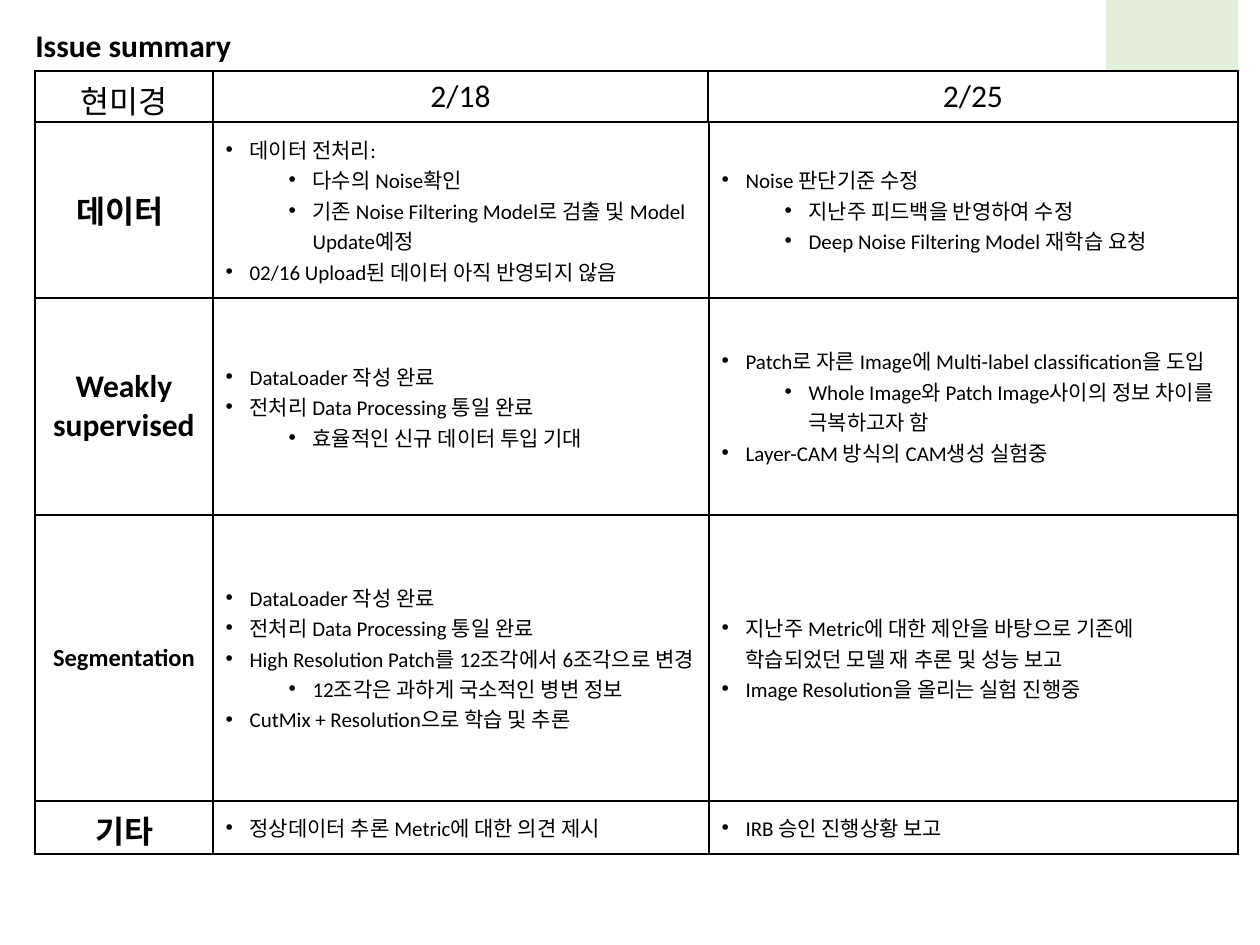
from lxml import etree
from pptx import Presentation, util as u
from pptx.dml.color import RGBColor
from pptx.enum import shapes, text
from pptx.oxml import ns

PX = 914400 // 126
FONT = "Calibri"
BLACK, WHITE, GREEN = "000000", "FFFFFF", "E2F0D9"
INDENT, LEVEL_STEP = 24, 63

HEADINGS = ["현미경", "2/18", "2/25"]
ISSUES = [
    ("데이터 ", 18,
     [(0, "데이터 전처리:"),
      (1, "다수의 Noise확인"),
      (1, "기존 Noise Filtering Model로 검출 및 Model Update예정"),
      (0, "02/16 Upload된 데이터 아직 반영되지 않음")],
     [(0, "Noise 판단기준 수정"),
      (1, "지난주 피드백을 반영하여 수정"),
      (1, "Deep Noise Filtering Model 재학습 요청")]),
    ("Weakly supervised", 18,
     [(0, "DataLoader 작성 완료"),
      (0, "전처리 Data Processing 통일 완료"),
      (1, "효율적인 신규 데이터 투입 기대")],
     [(0, "Patch로 자른 Image에 Multi-label classification을 도입"),
      (1, "Whole Image와 Patch Image사이의 정보 차이를 극복하고자 함"),
      (0, "Layer-CAM 방식의 CAM생성 실험중")]),
    ("Segmentation", 14,
     [(0, "DataLoader 작성 완료"),
      (0, "전처리 Data Processing 통일 완료"),
      (0, "High Resolution Patch를 12조각에서 6조각으로 변경"),
      (1, "12조각은 과하게 국소적인 병변 정보"),
      (0, "CutMix + Resolution으로 학습 및 추론")],
     [(0, "지난주 Metric에 대한 제안을 바탕으로 기존에 학습되었던 모델 재 추론 및 성능 보고"),
      (0, "Image Resolution을 올리는 실험 진행중")]),
    ("기타", 18,
     [(0, "정상데이터 추론 Metric에 대한 의견 제시")],
     [(0, "IRB 승인 진행상황 보고")]),
]


def px(n):
    return u.Emu(n * PX)


def color(value):
    return RGBColor.from_string(value)


def style(p, size, bold=False):
    for r in p.runs:
        r.font.name = FONT
        r.font.size = u.Pt(size)
        r.font.bold = bold
        r.font.color.rgb = color(BLACK)


def add_block(s, x, y, w, h, fill):
    sp = s.shapes.add_shape(shapes.MSO_SHAPE.RECTANGLE, px(x), px(y), px(w), px(h))
    sp.shadow.inherit = False
    sp.fill.solid()
    sp.fill.fore_color.rgb = color(fill)
    sp.line.fill.background()


def add_title(s, x, y, w, h, title):
    tf = s.shapes.add_textbox(px(x), px(y), px(w), px(h)).text_frame
    tf.word_wrap = True
    tf.auto_size = text.MSO_AUTO_SIZE.SHAPE_TO_FIT_TEXT
    tf.text = title
    style(tf.paragraphs[0], 18, True)


def add_borders(cell):
    tc_pr = cell._tc.get_or_add_tcPr()
    for side in ("a:lnL", "a:lnR", "a:lnT", "a:lnB"):
        ln = etree.SubElement(tc_pr, ns.qn(side), w=str(u.Pt(1)))
        fill = etree.SubElement(ln, ns.qn("a:solidFill"))
        etree.SubElement(fill, ns.qn("a:srgbClr"), val=BLACK)


def add_grid(s, x, y, widths, heights):
    frame = s.shapes.add_table(len(heights), len(widths), px(x), px(y),
                               px(sum(widths)), px(sum(heights)))
    table = frame.table
    table.first_row = table.horz_banding = False
    for column, width in zip(table.columns, widths):
        column.width = px(width)
    for row, height in zip(table.rows, heights):
        row.height = px(height)
    for cell in table.iter_cells():
        add_borders(cell)
        cell.fill.solid()
        cell.fill.fore_color.rgb = color(WHITE)
        cell.vertical_anchor = text.MSO_ANCHOR.MIDDLE
    return table


def fill_label(cell, label, size, bold=False):
    cell.text_frame.text = label
    p = cell.text_frame.paragraphs[0]
    p.alignment = text.PP_ALIGN.CENTER
    style(p, size, bold)


def fill_bullets(cell, items):
    tf = cell.text_frame
    tf.text = "\n".join(item for _, item in items)
    for p, (level, _) in zip(tf.paragraphs, items):
        p.level = level
        p_pr = p._p.get_or_add_pPr()
        p_pr.set("marL", str(px(INDENT + level * LEVEL_STEP)))
        p_pr.set("indent", str(px(-INDENT)))
        etree.SubElement(p_pr, ns.qn("a:buFont"), typeface="Arial")
        etree.SubElement(p_pr, ns.qn("a:buChar"), char="•")
        style(p, 12)


def main():
    prs = Presentation()
    prs.slide_width, prs.slide_height = u.Inches(10), u.Inches(7.5)
    s = prs.slides.add_slide(prs.slide_layouts[6])

    add_block(s, 1106, -19, 132, 181, GREEN)
    add_title(s, 23, 20, 394, 50, "Issue summary")

    header = add_grid(s, 35, 71, [178, 495, 530], [52, 67])
    for col, heading in enumerate(HEADINGS):
        fill_label(header.cell(0, col), heading, 18)

    body = add_grid(s, 35, 122, [178, 496, 529], [176, 217, 286, 53])
    for row, (label, size, *weeks) in enumerate(ISSUES):
        fill_label(body.cell(row, 0), label, size, True)
        for col, items in enumerate(weeks, 1):
            fill_bullets(body.cell(row, col), items)

    prs.save("out.pptx")


if __name__ == "__main__":
    main()
